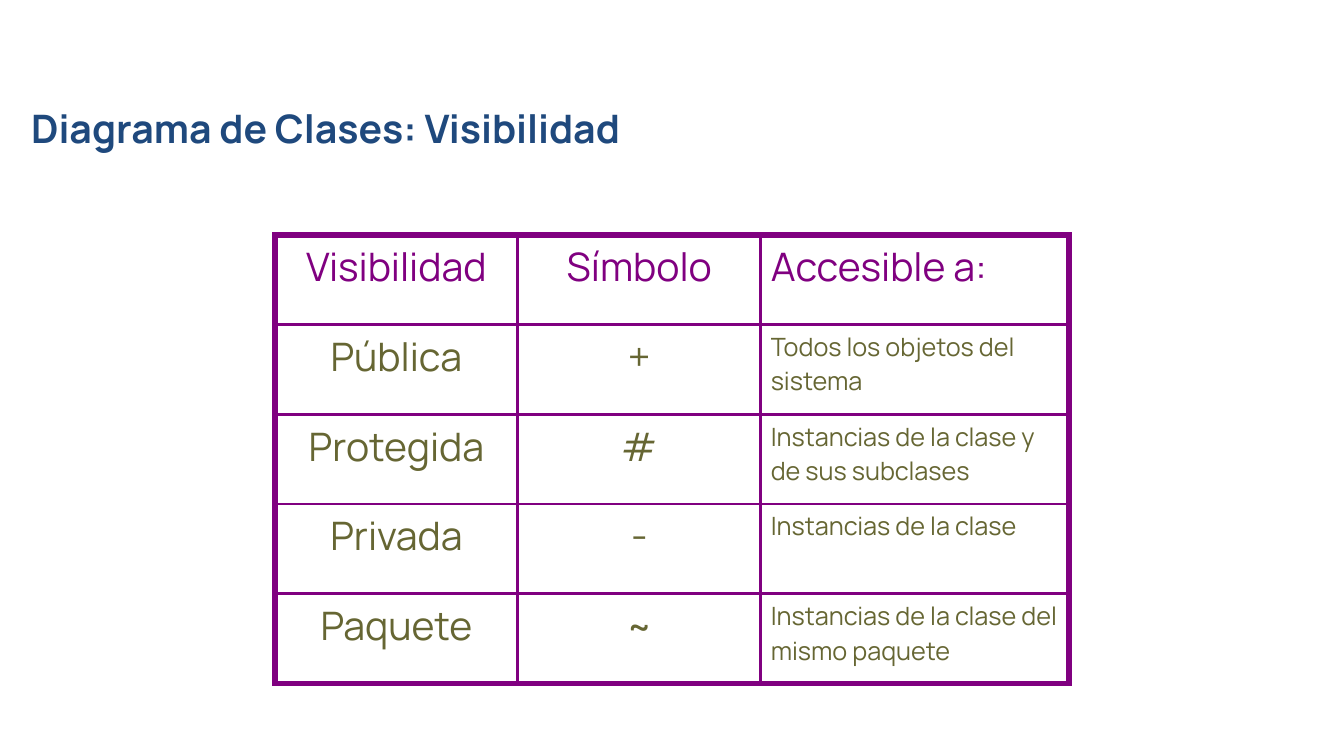
from dataclasses import dataclass

from lxml.etree import SubElement
from pptx import Presentation
from pptx.dml.color import RGBColor as Color
from pptx.enum.text import MSO_ANCHOR as Anchor, MSO_AUTO_SIZE as AutoSize, PP_ALIGN as Align
from pptx.oxml.ns import qn
from pptx.util import Cm, Pt


@dataclass(frozen=True)
class Theme:
    font: str = "Manrope"
    title: str = "1F497D"
    rule: str = "800080"
    body: str = "666633"
    large: float = 28
    small: float = 18
    thick: float = 4.5
    thin: float = 2.25


THEME = Theme()
TITLE_BOX = (0.53, 2.51, 15.6, 1.45)
TABLE_BOX = (6.93, 5.92, 20.01, 11.3)
COLUMN_SHARES = (6.12, 6.12, 7.77)
ROWS = (
    ("Visibilidad", "Símbolo", "Accesible a:"),
    ("Pública", "+", "Todos los objetos del sistema"),
    ("Protegida", "#", "Instancias de la clase y de sus subclases"),
    ("Privada", "-", "Instancias de la clase"),
    ("Paquete", "~", "Instancias de la clase del mismo paquete"),
)


def add_span(para, text, size, color, bold=False):
    span = para.add_run()
    span.text = text
    span.font.name = THEME.font
    span.font.size = Pt(size)
    span.font.bold = bold
    span.font.color.rgb = Color.from_string(color)


def place_title(page, box, text):
    title = page.shapes.title
    title.left, title.top, title.width, title.height = map(Cm, box)
    frame = title.text_frame
    frame.word_wrap = True
    frame.auto_size = AutoSize.NONE
    frame.vertical_anchor = Anchor.TOP
    para = frame.paragraphs[0]
    para.alignment = Align.LEFT
    add_span(para, text, THEME.large, THEME.title, bold=True)


def draw_borders(cell, outer_sides):
    """Rule all four sides, thicker on those at the edge of the table."""
    properties = cell._tc.get_or_add_tcPr()
    for side in ("L", "R", "T", "B"):
        width = THEME.thick if side in outer_sides else THEME.thin
        line = SubElement(properties, qn(f"a:ln{side}"), w=str(Pt(width)))
        fill = SubElement(line, qn("a:solidFill"))
        SubElement(fill, qn("a:srgbClr"), val=THEME.rule)


def outer_sides(row, column):
    edges = {
        "L": column == 0,
        "R": column == len(COLUMN_SHARES) - 1,
        "T": row == 0,
        "B": row == len(ROWS) - 1,
    }
    return {side for side, at_edge in edges.items() if at_edge}


def place_table(page, box):
    left, top, width, height = box
    frame = page.shapes.add_table(len(ROWS), len(COLUMN_SHARES), *map(Cm, box))
    table = frame.table
    table.first_row = table.horz_banding = False
    for column, share in zip(table.columns, COLUMN_SHARES):
        column.width = Cm(width * share / sum(COLUMN_SHARES))
    for row in table.rows:
        row.height = Cm(height / len(ROWS))

    for row, texts in enumerate(ROWS):
        for column, text in enumerate(texts):
            cell = table.cell(row, column)
            draw_borders(cell, outer_sides(row, column))
            cell.fill.background()
            is_header = row == 0
            is_description = column == len(texts) - 1
            para = cell.text_frame.paragraphs[0]
            para.alignment = Align.LEFT if is_description else Align.CENTER
            size = THEME.small if is_description and not is_header else THEME.large
            add_span(para, text, size, THEME.rule if is_header else THEME.body)


def main():
    deck = Presentation()
    deck.slide_width, deck.slide_height = Cm(33.87), Cm(19.05)
    title_only = deck.slide_layouts[5]
    page = deck.slides.add_slide(title_only)
    place_title(page, TITLE_BOX, "Diagrama de Clases: Visibilidad")
    place_table(page, TABLE_BOX)
    deck.save("out.pptx")


if __name__ == "__main__":
    main()
